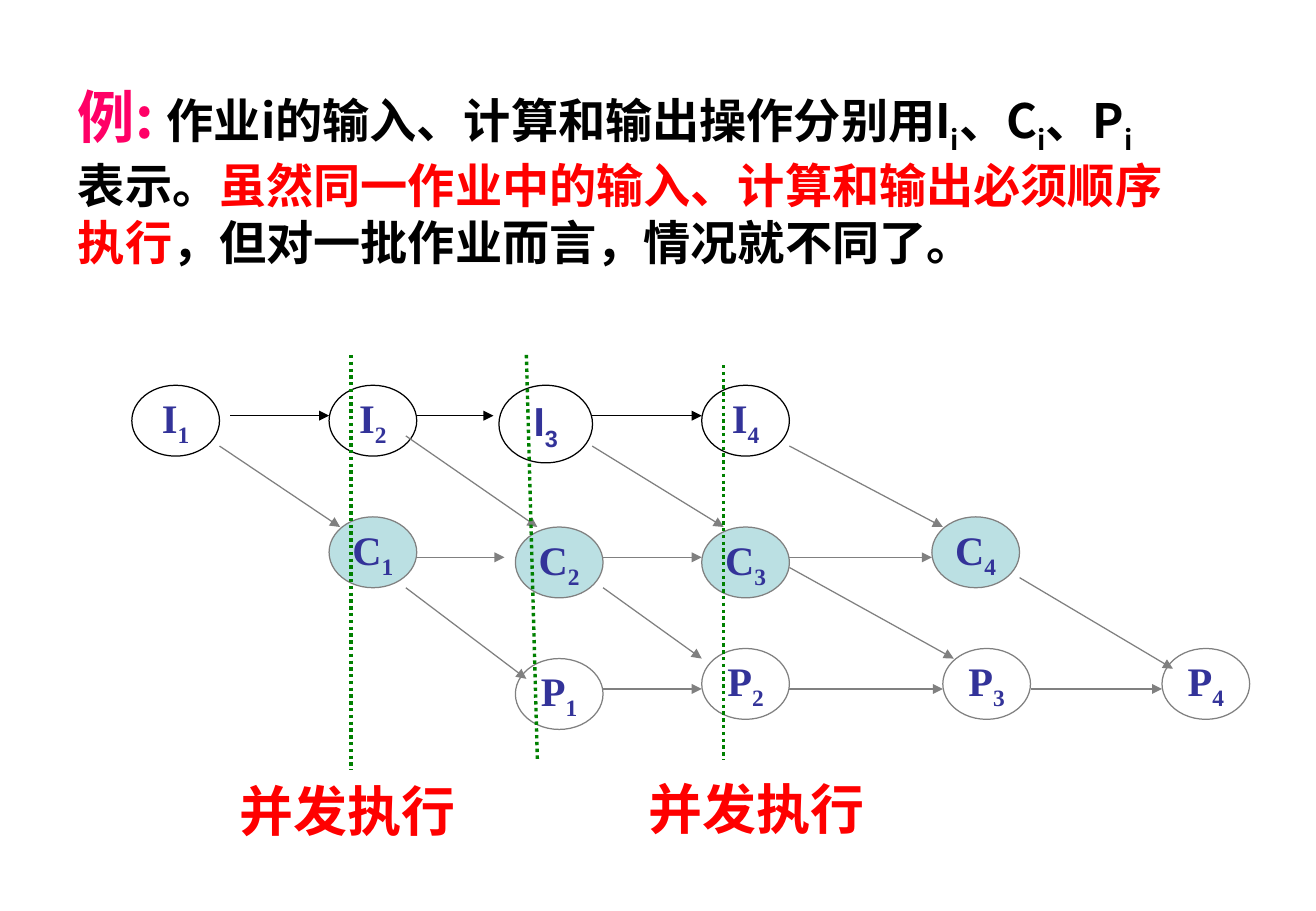
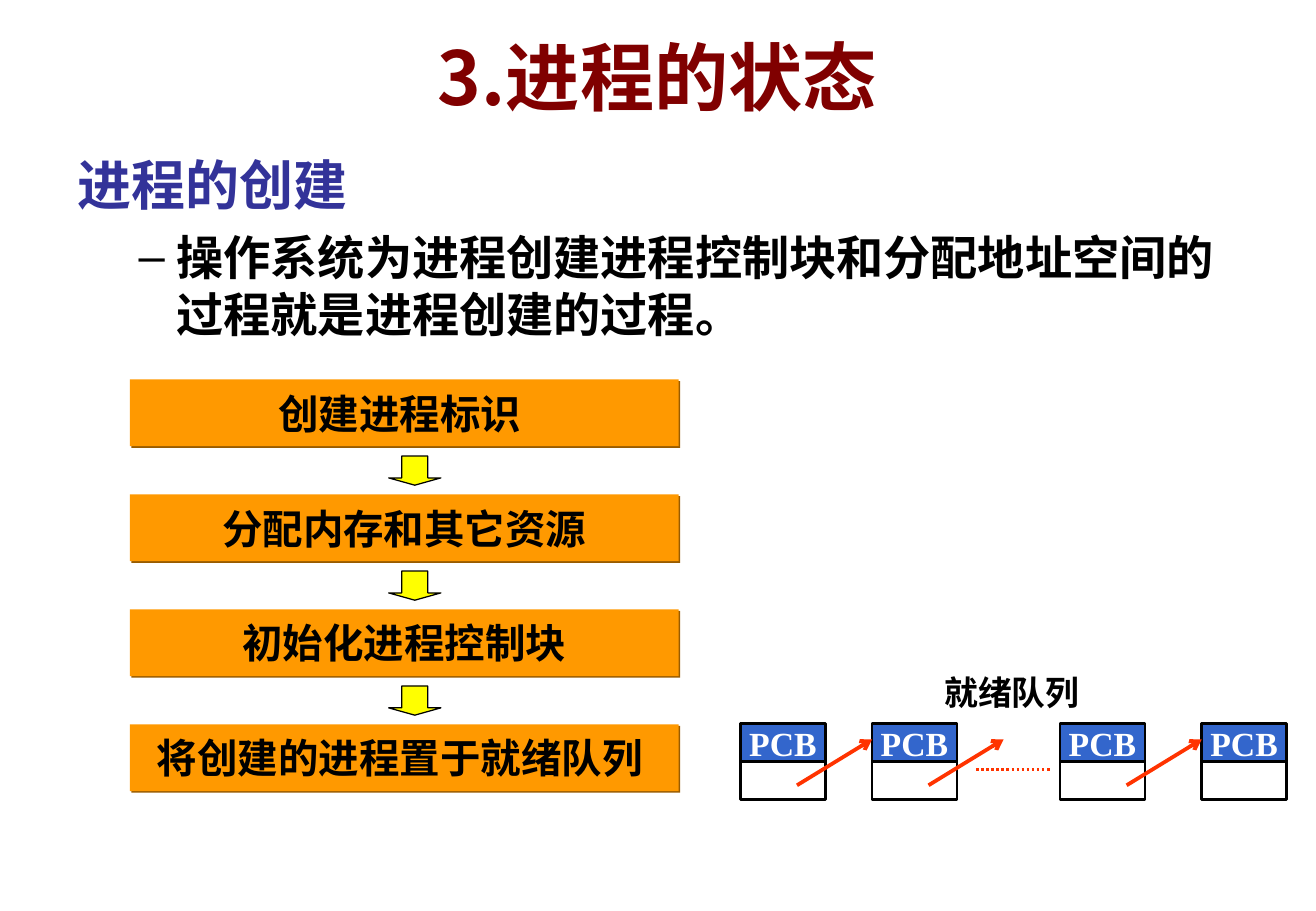
from lxml.etree import SubElement
from pptx import Presentation
from pptx.dml.color import RGBColor
from pptx.enum.dml import MSO_LINE
from pptx.enum.shapes import MSO_CONNECTOR, MSO_SHAPE
from pptx.enum.text import MSO_ANCHOR, MSO_AUTO_SIZE, PP_ALIGN
from pptx.oxml.ns import qn
from pptx.util import Pt

COLORS = {
    "black": "000000", "white": "FFFFFF", "gray": "808080", "red": "FF0000",
    "pink": "FF0066", "navy": "333399", "maroon": "800000", "green": "008000",
    "aqua": "BBE0E3", "orange": "FF9900", "orange_shadow": "995C00",
    "yellow": "FFFF00", "blue": "3366CC", "link": "FF3300",
}
SANS, SERIF, LATIN = "Noto Sans CJK SC", "Times New Roman", "Arial"


def color(name):
    return RGBColor.from_string(COLORS[name])


def add_span(para, text, size, tint, font=SERIF, subscript=False):
    span = para.add_run()
    span.text = text
    span.font.size = Pt(size)
    span.font.bold = True
    span.font.name = font
    span.font.color.rgb = color(tint)
    properties = span.font._element
    SubElement(properties, qn("a:ea")).set("typeface", SANS)
    if subscript:
        properties.set("baseline", "-25000")


def place(shape, left, top, width, height):
    shape.left, shape.top, shape.width, shape.height = map(
        Pt, (left, top, width, height))


def set_title(page, box, align):
    """Move the title placeholder and return its empty paragraph."""
    title = page.shapes.title
    place(title, *box)
    title.text_frame.auto_size = MSO_AUTO_SIZE.NONE
    title.text_frame.vertical_anchor = MSO_ANCHOR.MIDDLE
    para = title.text_frame.paragraphs[0]
    para.alignment = align
    return para


def add_box(page, kind, box, fill=None, line=None, weight=0.75):
    shape = page.shapes.add_shape(kind, *map(Pt, box))
    shape.shadow.inherit = False
    if fill:
        shape.fill.solid()
        shape.fill.fore_color.rgb = color(fill)
    else:
        shape.fill.background()
    if line:
        shape.line.color.rgb = color(line)
        shape.line.width = Pt(weight)
    else:
        shape.line.fill.background()
    return shape


def center_text(shape):
    """Centre the text of a shape without wrapping; return its paragraph."""
    frame = shape.text_frame
    frame.word_wrap = False
    frame.vertical_anchor = MSO_ANCHOR.MIDDLE
    para = frame.paragraphs[0]
    para.alignment = PP_ALIGN.CENTER
    return para


def add_caption(page, box, text, size, tint):
    caption = page.shapes.add_textbox(*map(Pt, box))
    caption.text_frame.word_wrap = True
    para = caption.text_frame.paragraphs[0]
    para.alignment = PP_ALIGN.CENTER
    add_span(para, text, size, tint)


def add_line(page, start, end, tint, weight=0.75, head=None, dotted=False):
    line = page.shapes.add_connector(
        MSO_CONNECTOR.STRAIGHT, *map(Pt, (*start, *end)))
    line.line.color.rgb = color(tint)
    line.line.width = Pt(weight)
    if dotted:
        line.line.dash_style = MSO_LINE.ROUND_DOT
    if head:
        SubElement(line.line._get_or_add_ln(), qn("a:tailEnd")).set("type", head)
    SubElement(line._element.spPr, qn("a:effectLst"))


def add_job_diagram(page, left, top):
    """Draw the job graph on a grid of 6.5 by 6 point cells."""
    def at(column, row):
        return left + column * 6.5, top + row * 6

    nodes = {
        "I": ("black", None, [(0, 3), (18, 3), (33.5, 3), (52, 3)]),
        "C": ("gray", "aqua", [(18, 16), (35, 17), (52, 17), (73, 16)]),
        "P": ("gray", None, [(35, 30), (52, 29), (74, 29), (94, 29)]),
    }
    for letter, (line, fill, cells) in nodes.items():
        for number, cell in enumerate(cells, 1):
            is_i3 = (letter, number) == ("I", 3)
            size = (55.5, 46) if is_i3 else (52, 42)
            font = LATIN if is_i3 else SERIF
            node = add_box(page, MSO_SHAPE.OVAL, (*at(*cell), *size), fill, line)
            para = center_text(node)
            add_span(para, letter, 24, "navy", font)
            add_span(para, str(number), 24, "navy", font, subscript=True)

    rows = [
        (6, "black", [(9, 18), (26, 33), (42, 52)]),
        (20, "gray", [(26, 34), (43, 52), (60, 73)]),
        (33, "gray", [(43, 52), (60, 74), (82, 94)]),
    ]
    for row, tint, spans in rows:
        for start, end in spans:
            add_line(page, at(start, row), at(end, row), tint, head="triangle")

    diagonals = [
        (8, 9, 19, 17), (25, 23, 36, 32), (25, 8, 37, 17), (43, 23, 52, 30),
        (42, 9, 54, 17), (60, 21, 75, 30), (60, 9, 74, 17), (81, 22, 95, 31),
    ]
    for x1, y1, x2, y2 in diagonals:
        add_line(page, at(x1, y1), at(x2, y2), "gray", head="triangle")

    for x1, y1, x2, y2 in [(20, 0, 20, 41), (36, 0, 37, 40), (54, 1, 54, 40)]:
        add_line(page, at(x1, y1), at(x2, y2), "green", 2, dotted=True)

    for x, y, width in [(29.3, 247, 197), (274.8, 245.7, 191)]:
        add_caption(page, (left + x, top + y, width, 46), "并发执行", 32, "red")


def add_concurrency_page(deck):
    page = deck.slides.add_slide(deck.slide_layouts[5])
    para = set_title(page, (39, 26.5, 658.3, 155), PP_ALIGN.LEFT)
    add_span(para, "例: ", 34, "pink", SANS)
    for text, symbol in [("作业i的输入、计算和输出操作分别用", "I"),
                         ("、", "C"), ("、", "P")]:
        add_span(para, text + symbol, 28, "black", SANS)
        add_span(para, "i", 28, "black", SANS, subscript=True)
    add_span(para, "表示。", 28, "black", SANS)
    add_span(para, "虽然同一作业中的输入、计算和输出必须顺序执行", 28, "red", SANS)
    add_span(para, "，但对一批作业而言，情况就不同了。", 28, "black", SANS)
    add_job_diagram(page, 78.2, 210.4)


def format_item(para, bullet, margin, hanging, before):
    properties = para._p.get_or_add_pPr()
    properties.set("marL", str(Pt(margin)))
    properties.set("indent", str(Pt(-hanging)))
    para.space_before = Pt(before)
    if bullet:
        tint = SubElement(SubElement(properties, qn("a:buClr")), qn("a:srgbClr"))
        tint.set("val", COLORS["black"])
        SubElement(properties, qn("a:buChar")).set("char", bullet)
    else:
        SubElement(properties, qn("a:buNone"))


def fill_body(page, box):
    body = page.placeholders[1]
    place(body, *box)
    frame = body.text_frame
    frame.auto_size = MSO_AUTO_SIZE.NONE
    heading = frame.paragraphs[0]
    format_item(heading, None, 27, 27, 0)
    add_span(heading, "进程的创建", 32, "navy", SANS)
    detail = frame.add_paragraph()
    detail.level = 1
    format_item(detail, "–", 58.5, 22.5, 7)
    add_span(detail, "操作系统为进程创建进程控制块和分配地址空间的过程就是进程创建的过程。",
             28, "black", SANS)


def add_hard_shadow(shape):
    effects = shape._element.spPr.find(qn("a:effectLst"))
    shadow = SubElement(effects, qn("a:outerShdw"))
    shadow.set("dist", str(Pt(1.4)))
    shadow.set("dir", "2700000")
    shadow.set("rotWithShape", "0")
    SubElement(shadow, qn("a:srgbClr")).set("val", COLORS["orange_shadow"])


def add_creation_steps(page, left, top, width):
    height, pitch = 39.6, 68.15
    steps = ["创建进程标识 ", "分配内存和其它资源", "初始化进程控制块",
             "将创建的进程置于就绪队列 "]
    for index, text in enumerate(steps):
        y = top + index * pitch
        step = add_box(page, MSO_SHAPE.RECTANGLE, (left, y, width, height), "orange")
        add_hard_shadow(step)
        add_span(center_text(step), text, 24, "black")
        if index:
            arrow = add_box(page, MSO_SHAPE.DOWN_ARROW,
                            (left + 153.5, y - 22.7, 31, 17.3), "yellow", "black")
            arrow.adjustments[1] = 0.25


def add_ready_queue(page, left, top):
    add_caption(page, (left + 103.7, top, 114.5, 31.7), "就绪队列", 20, "black")
    width, height, first_row = 50.4, 22.6, top + 34
    for x in (0, 78, 189.5, 273.5):
        for row, fill in enumerate(("blue", "white")):
            cell = add_box(
                page, MSO_SHAPE.RECTANGLE,
                (left + x, first_row + row * height, width, height),
                fill, "black", 1.5)
            if row == 0:
                add_span(center_text(cell), "PCB", 20, "white")
    for x in (78, 156, 273.5):
        add_line(page, (left + x - 44.5, first_row + 36.6), (left + x, first_row + 9.4),
                 "link", 2.25, head="arrow")
    add_line(page, (left + 139.7, first_row + 27.3), (left + 184.3, first_row + 27.3),
             "link", 1.5, dotted=True)


def add_creation_page(deck):
    page = deck.slides.add_slide(deck.slide_layouts[1])
    para = set_title(page, (39, 0, 702, 90), PP_ALIGN.CENTER)
    add_span(para, "3.进程的状态", 44, "maroon", SANS)
    fill_body(page, (39, 86.3, 702, 356.5))
    add_creation_steps(page, 77, 224.9, 325.5)
    add_ready_queue(page, 439.2, 394.9)


def main():
    deck = Presentation()
    deck.slide_width, deck.slide_height = Pt(780.48), Pt(540)
    add_concurrency_page(deck)
    add_creation_page(deck)
    deck.save("out.pptx")


if __name__ == "__main__":
    main()
